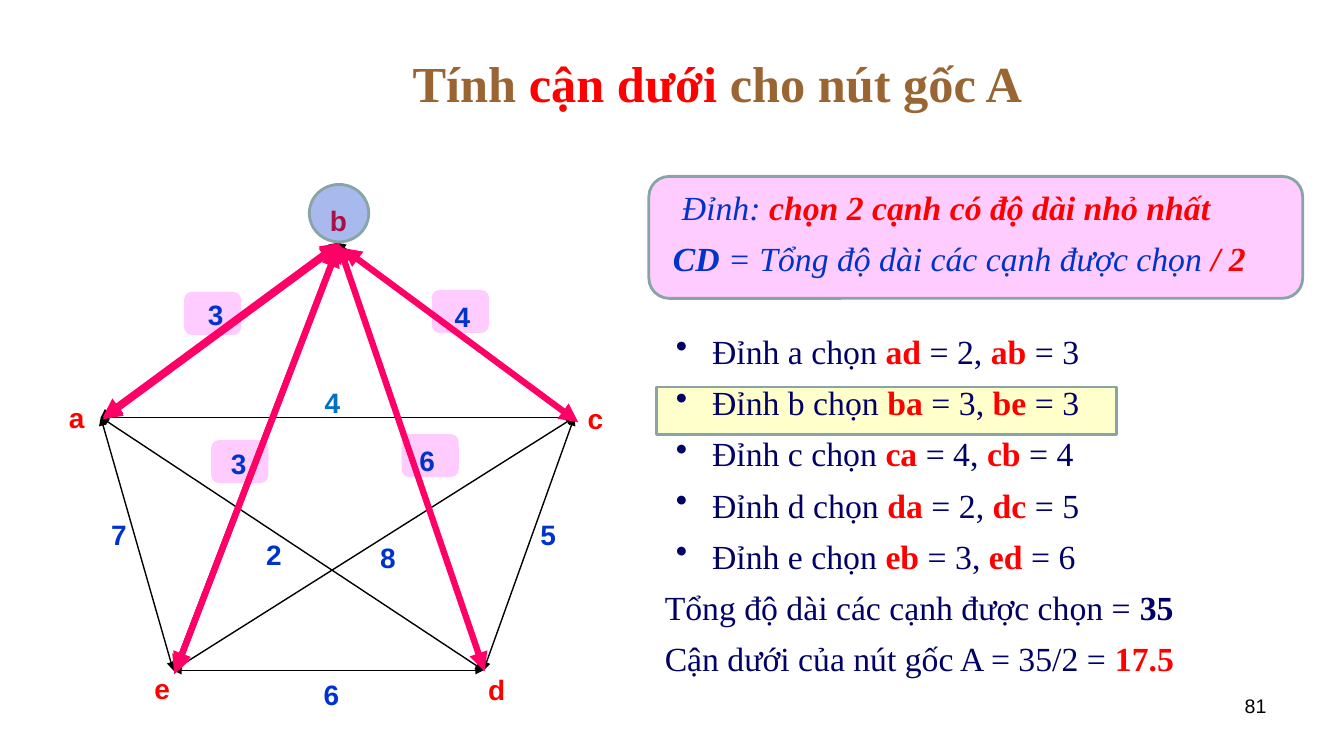
import itertools

import pptx
import pptx.dml.color
import pptx.enum.shapes
import pptx.enum.text
import pptx.oxml.ns
import pptx.util
from lxml import etree

Inches = pptx.util.Inches
Pt = pptx.util.Pt
Shape = pptx.enum.shapes.MSO_SHAPE
Align = pptx.enum.text.PP_ALIGN
Anchor = pptx.enum.text.MSO_ANCHOR
qn = pptx.oxml.ns.qn

BLUE, NAVY, RED = "0033CC", "000066", "FF0000"
PINK, GREY, ROSE = "FFCCFF", "89A4A7", "FF0066"


def color(value):
    return pptx.dml.color.RGBColor.from_string(value)


def run(text, **style):
    return text, style


class Board:
    def __init__(self, page, **style):
        self.page = page
        self.style = style

    def shape(self, kind, left, top, width, height, fill, line, alpha=None):
        shape = self.page.shapes.add_shape(
            kind, Inches(left), Inches(top), Inches(width), Inches(height))
        shape.shadow.inherit = False
        shape.fill.solid()
        shape.fill.fore_color.rgb = color(fill)
        shape.line.color.rgb = color(line)
        shape.line.width = Pt(2)
        if alpha:
            tint = shape.fill._xPr.find(qn("a:solidFill"))[0]
            etree.SubElement(tint, qn("a:alpha"), val=str(alpha * 1000))

    def arrow(self, start, end, line, width):
        connector = self.page.shapes.add_connector(
            pptx.enum.shapes.MSO_CONNECTOR.STRAIGHT,
            *[Inches(value) for value in (*start, *end)])
        connector.line.color.rgb = color(line)
        connector.line.width = Pt(width)
        outline = connector.line._get_or_add_ln()
        for tip in ("a:headEnd", "a:tailEnd"):
            etree.SubElement(outline, qn(tip), type="triangle")
        etree.SubElement(connector._element.spPr, qn("a:effectLst"))

    def text(self, left, top, width, height, paragraphs, align=Align.LEFT,
             anchor=Anchor.TOP, inset=0.0, gap=0.0, wrap=True, **style):
        box = self.page.shapes.add_textbox(
            Inches(left), Inches(top), Inches(width), Inches(height))
        frame = box.text_frame
        frame.word_wrap = wrap
        frame.vertical_anchor = anchor
        frame.margin_left = frame.margin_right = Inches(inset)
        frame.margin_top = frame.margin_bottom = Inches(0)
        for index, (spans, indent, bullet) in enumerate(paragraphs):
            para = frame.add_paragraph() if index else frame.paragraphs[0]
            para.alignment = align
            if index:
                para.space_before = Pt(gap)
            properties = para._p.get_or_add_pPr()
            properties.set("marL", str(Inches(indent)))
            if bullet:
                properties.set("indent", str(Inches(-0.36)))
                tint = etree.SubElement(properties, qn("a:buClr"))
                etree.SubElement(tint, qn("a:srgbClr"), val=NAVY)
                etree.SubElement(properties, qn("a:buChar"), char="•")
            for words, special in spans:
                self.span(para, words, **{**self.style, **style, **special})

    def span(self, para, words, font, size, ink, bold, italic):
        span = para.add_run()
        span.text = words
        span.font.name = font
        span.font.size = Pt(size)
        span.font.color.rgb = color(ink)
        span.font.bold = bold
        span.font.italic = italic

    def label(self, left, top, words, ink=BLUE):
        self.text(left, top, 0.18, 0.39, [([run(words)], 0, False)],
                  align=Align.CENTER, anchor=Anchor.MIDDLE, wrap=False,
                  font="Arial", size=20, ink=ink, bold=True)


def main():
    deck = pptx.Presentation()
    deck.slide_width, deck.slide_height = Inches(13.34), Inches(7.5)
    page = deck.slides.add_slide(deck.slide_layouts[6])
    board = Board(page, font="Times New Roman", size=24.1, ink=NAVY,
                  bold=False, italic=False)
    red = {"ink": RED, "bold": True}

    board.shape(Shape.RECTANGLE, 6.52, 3.84, 4.56, 0.47, "FFFFCC", GREY)
    for left, top in [(1.84, 2.91), (4.3, 2.89), (4, 4.32), (2.11, 4.38)]:
        board.shape(Shape.ROUNDED_RECTANGLE, left, top, 0.54, 0.4, PINK, PINK)
    board.shape(Shape.ROUNDED_RECTANGLE, 6.44, 1.75, 6.49, 1.21, PINK, GREY)

    title = [run("Tính "), run("cận dưới ", ink=RED), run("cho nút gốc A ")]
    board.text(1.67, 0.3, 11, 1.03, [(title, 0, False)], align=Align.CENTER,
               anchor=Anchor.MIDDLE, inset=0.1, size=36, ink="996633", bold=True)

    rule = [
        ([run("Đỉnh: "), run("chọn 2 cạnh có độ dài nhỏ nhất", **red)], 0.17, False),
        ([run("CD ", bold=True), run("= Tổng độ dài các cạnh được chọn "),
          run("/ 2", **red)], 0.08, False),
    ]
    board.text(6.5, 1.85, 6.49, 1, rule, inset=0.1, gap=7.7, ink=BLUE, italic=True)

    choices = [("a", "ad", 2, "ab", 3), ("b", "ba", 3, "be", 3),
               ("c", "ca", 4, "cb", 4), ("d", "da", 2, "dc", 5),
               ("e", "eb", 3, "ed", 6)]
    steps = [([run(f"Ðỉnh {node} chọn "), run(first, **red),
               run(f" = {near}, "), run(second, **red), run(f" = {far}")], 0.47, True)
             for node, first, near, second, far in choices]
    steps += [
        ([run("Tổng độ dài các cạnh được chọn = "), run("35", bold=True)], 0, False),
        ([run("Cận dưới của nút gốc A = 35/2 = "), run("17.5", **red)], 0, False),
    ]
    board.text(6.5, 3.28, 6.49, 3.5, steps, inset=0.1, gap=7.7)
    board.text(9.56, 6.88, 3.11, 0.42, [([run("81")], 0, False)],
               align=Align.RIGHT, inset=0.1, font="Arial", size=14, ink="000000")

    weights = [(2.63, 5.3, "2"), (3.76, 5.33, "8"), (4.15, 4.37, "6"),
               (2.28, 4.4, "3"), (1.09, 5.11, "7"), (3.2, 6.69, "6"),
               (5.35, 5.11, "5"), (4.5, 2.94, "4"), (2.05, 2.92, "3")]
    for left, top, weight in weights:
        board.label(left, top, weight)
    board.label(3.21, 3.8, "4", "0070C0")
    names = [(1.52, 6.63, "e"), (4.84, 6.64, "d"), (5.82, 3.95, "c"),
             (0.67, 3.94, "a"), (3.27, 1.99, "b")]
    for left, top, name in names:
        board.label(left, top, name, RED)

    nodes = {"a": (1, 4.14), "b": (3.35, 2.41), "c": (5.7, 4.14),
             "d": (4.8, 6.65), "e": (1.72, 6.65)}
    for start, end in itertools.combinations(nodes, 2):
        width = 0.75 if start + end == "de" else 1
        board.arrow(nodes[start], nodes[end], "000000", width)

    board.shape(Shape.OVAL, 3.07, 1.83, 0.59, 0.57, BLUE, GREY, alpha=34)
    edges_at_b = [((1.02, 4.16), (3.37, 2.43)), ((1.73, 6.69), (3.35, 2.46)),
                  ((4.81, 6.66), (3.36, 2.42)), ((5.74, 4.19), (3.4, 2.46)),
                  ((1.74, 6.66), (3.37, 2.42)), ((1.02, 4.14), (3.37, 2.41))]
    for start, end in edges_at_b:
        board.arrow(start, end, ROSE, 4.5)

    deck.save("out.pptx")


if __name__ == "__main__":
    main()
